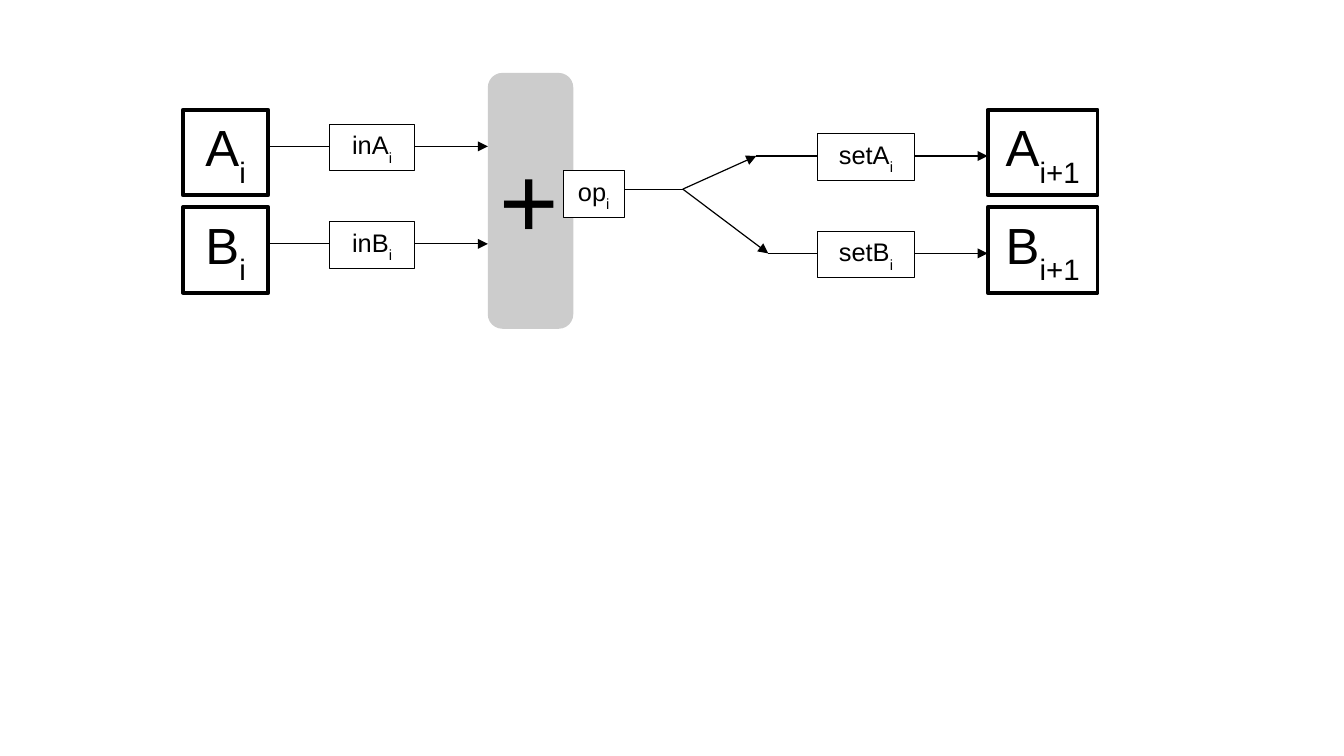
from pptx import Presentation
from pptx.dml.color import RGBColor
from pptx.enum.shapes import MSO_CONNECTOR, MSO_SHAPE
from pptx.enum.text import MSO_ANCHOR, PP_ALIGN
from pptx.oxml.ns import qn
from pptx.util import Cm, Pt
from lxml.etree import SubElement

COLORS = {"ink": "000000", "paper": "FFFFFF", "adder": "CCCCCC"}
ROW_PITCH = 2.03
STATE_H = 1.78
LABEL_H = 0.97


class Diagram:
    """Holds the style and the current slide; all lengths are in cm."""

    font = "Arial"
    thin, thick = 0.71, 2.27

    def __init__(self, slide):
        self.shapes = slide.shapes

    def color(self, name):
        return RGBColor.from_string(COLORS[name])

    def run(self, p, text, size, subscript=False):
        r = p.add_run()
        r.text = text
        r.font.name = self.font
        r.font.size = Pt(size)
        r.font.color.rgb = self.color("ink")
        if subscript:
            r._r.get_or_add_rPr().set("baseline", "-33000")

    def box(self, x, y, w, h, name, index, size, line, fill=None):
        sp = self.shapes.add_shape(MSO_SHAPE.RECTANGLE, Cm(x), Cm(y), Cm(w), Cm(h))
        sp.shadow.inherit = False
        if fill:
            sp.fill.solid()
            sp.fill.fore_color.rgb = self.color(fill)
        else:
            sp.fill.background()
        sp.line.color.rgb = self.color("ink")
        sp.line.width = Pt(line)
        tf = sp.text_frame
        tf.word_wrap = False
        tf.vertical_anchor = MSO_ANCHOR.MIDDLE
        tf.margin_left = tf.margin_right = Cm(0.25)
        tf.margin_top = tf.margin_bottom = Cm(0.13)
        p = tf.paragraphs[0]
        p.alignment = PP_ALIGN.CENTER
        self.run(p, name, size)
        self.run(p, index, size, subscript=True)

    def state(self, x, y, w, name, index):
        self.box(x, y, w, STATE_H, name, index, 30, self.thick)

    def label(self, x, y, w, name):
        self.box(x, y, w, LABEL_H, name, "i", 15, self.thin, "paper")

    def panel(self, x, y, w, h):
        sp = self.shapes.add_shape(MSO_SHAPE.ROUNDED_RECTANGLE, Cm(x), Cm(y), Cm(w), Cm(h))
        sp.adjustments[0] = 0.17
        sp.shadow.inherit = False
        sp.fill.solid()
        sp.fill.fore_color.rgb = self.color("adder")
        sp.line.fill.background()

    def text(self, x, y, w, h, text, size):
        tf = self.shapes.add_textbox(Cm(x), Cm(y), Cm(w), Cm(h)).text_frame
        tf.word_wrap = True
        self.run(tf.paragraphs[0], text, size)

    def line(self, x1, y1, x2, y2, arrow=True):
        cx = self.shapes.add_connector(
            MSO_CONNECTOR.STRAIGHT, Cm(x1), Cm(y1), Cm(x2), Cm(y2))
        cx.line.color.rgb = self.color("ink")
        cx.line.width = Pt(self.thin)
        if arrow:
            SubElement(cx.line._get_or_add_ln(), qn("a:tailEnd"), type="triangle")
        SubElement(cx._element.spPr, qn("a:effectLst"))


def main():
    prs = Presentation()
    prs.slide_width, prs.slide_height = Cm(27.99), Cm(15.75)
    d = Diagram(prs.slides.add_slide(prs.slide_layouts[6]))

    # Adder
    d.panel(10.16, 1.52, 1.78, 5.33)
    d.text(10.16, 2.72, 1.78, 2.62, "+", 60)

    # One row per register: inputs on the left, outputs on the right
    fork_x, fork_y = 14.22, 3.94
    for row, (name, branch_x) in enumerate([("A", 15.75), ("B", 16.0)]):
        dy = row * ROW_PITCH
        d.state(3.81, 2.29 + dy, 1.78, name, "i")
        d.line(5.59, 3.05 + dy, 10.16, 3.05 + dy)
        d.label(6.86, 2.59 + dy, 1.78, "in" + name)

        d.line(fork_x, fork_y, branch_x, 3.25 + dy)
        d.line(branch_x, 3.25 + dy, 20.57, 3.25 + dy)
        d.label(17.02, 2.79 + dy, 2.03, "set" + name)
        d.state(20.57, 2.29 + dy, 2.29, name, "i+1")

    # Operation at the adder's output
    d.line(fork_x, fork_y, 11.94, fork_y, arrow=False)
    d.label(11.73, 3.56, 1.27, "op")

    prs.save("out.pptx")


if __name__ == "__main__":
    main()
